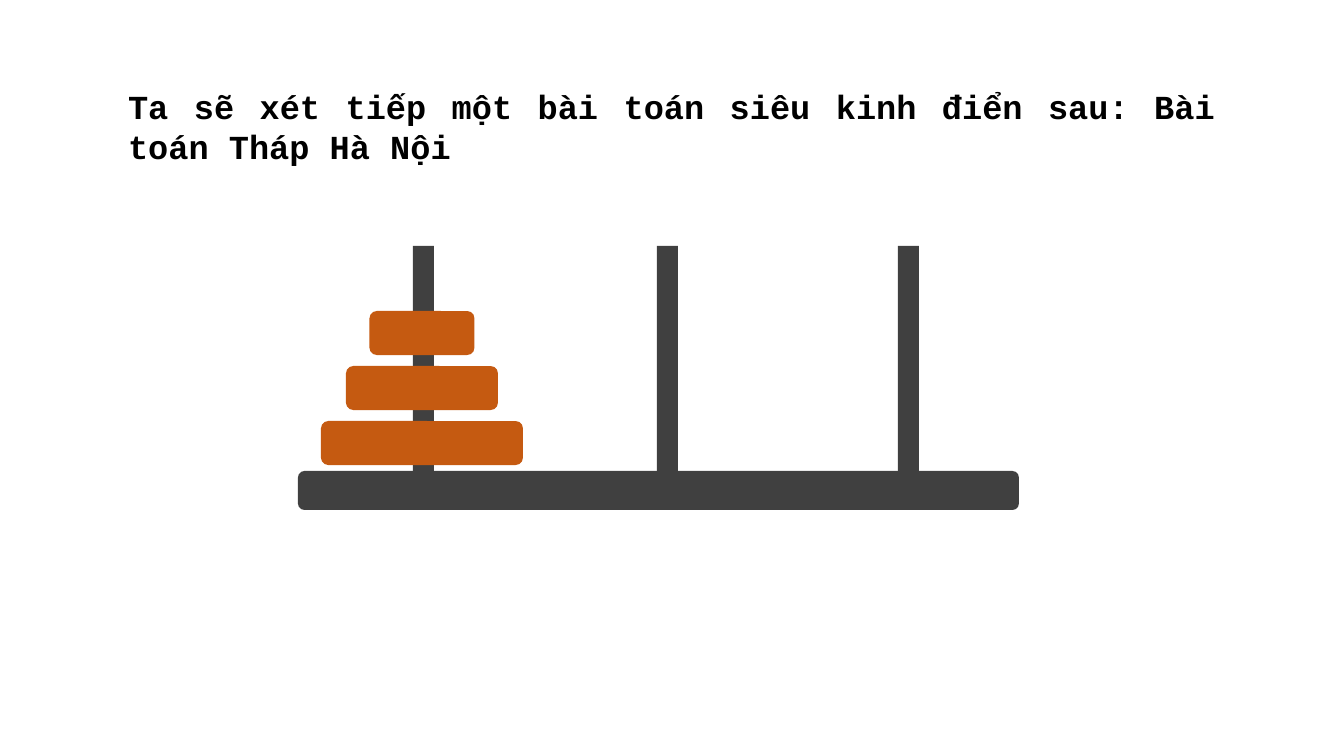
from dataclasses import dataclass

from pptx import Presentation
from pptx.dml.color import RGBColor
from pptx.enum.shapes import MSO_SHAPE
from pptx.enum.text import MSO_ANCHOR, MSO_AUTO_SIZE, PP_ALIGN
from pptx.util import Emu, Pt

INTRO = "Ta sẽ xét tiếp một bài toán siêu kinh điển sau: Bài toán Tháp Hà Nội"
INTRO_BOX = (118, 81, 1107, 92)

BASE = (298, 471, 721, 39)
PEG_LEFTS = [413, 657, 898]
PEG_WIDTH, PEG_HEIGHT = 21, 225
DISK_WIDTHS = [202, 152, 105]
DISK_CENTER, DISK_HEIGHT = 422, 44
LOWEST_DISK_TOP, DISK_PITCH = 421, 55


@dataclass(frozen=True)
class Theme:
    ink: RGBColor = RGBColor(0x00, 0x00, 0x00)
    stand: RGBColor = RGBColor(0x40, 0x40, 0x40)
    disk: RGBColor = RGBColor(0xC5, 0x5A, 0x11)
    font: str = "Courier New"
    intro_size: int = 24


THEME = Theme()


def px(length):
    return Emu(round(length * 914400 / 100.8))


def write_text(holder, text, *, size, color, bold=False, align=PP_ALIGN.LEFT):
    frame = holder.text_frame
    frame.word_wrap = True
    frame.auto_size = MSO_AUTO_SIZE.SHAPE_TO_FIT_TEXT
    frame.vertical_anchor = MSO_ANCHOR.TOP
    paragraph = frame.paragraphs[0]
    paragraph.alignment = align
    run = paragraph.add_run()
    run.text = text
    run.font.name = THEME.font
    run.font.size = Pt(size)
    run.font.bold = bold
    run.font.color.rgb = color


def add_block(tower, preset, box, color):
    block = tower.shapes.add_shape(preset, *map(px, box))
    block.shadow.inherit = False
    block.fill.solid()
    block.fill.fore_color.rgb = color
    block.line.fill.background()


def main():
    deck = Presentation()
    deck.slide_width, deck.slide_height = px(1344), px(756)
    slide = deck.slides.add_slide(deck.slide_layouts[5])

    intro = slide.shapes.title
    intro.left, intro.top, intro.width, intro.height = map(px, INTRO_BOX)
    write_text(intro, INTRO, size=THEME.intro_size, color=THEME.ink,
               bold=True, align=PP_ALIGN.JUSTIFY)

    tower = slide.shapes.add_group_shape()
    add_block(tower, MSO_SHAPE.ROUNDED_RECTANGLE, BASE, THEME.stand)
    peg_top = BASE[1] - PEG_HEIGHT
    for left in PEG_LEFTS:
        add_block(tower, MSO_SHAPE.RECTANGLE,
                  (left, peg_top, PEG_WIDTH, PEG_HEIGHT), THEME.stand)
    for level, width in enumerate(DISK_WIDTHS):
        top = LOWEST_DISK_TOP - level * DISK_PITCH
        add_block(tower, MSO_SHAPE.ROUNDED_RECTANGLE,
                  (DISK_CENTER - width / 2, top, width, DISK_HEIGHT), THEME.disk)

    deck.save("out.pptx")


if __name__ == "__main__":
    main()
